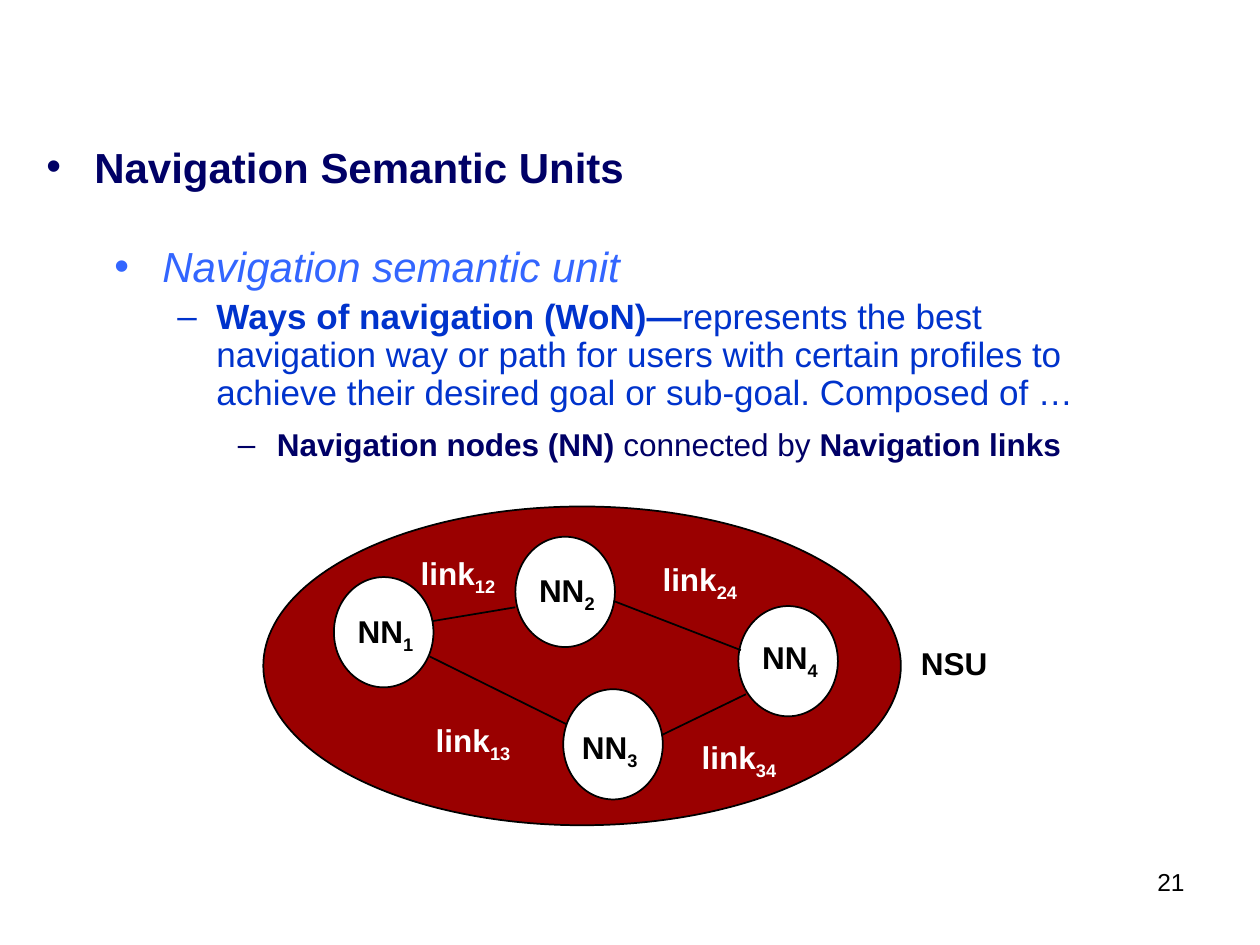
from lxml import etree
from pptx import Presentation
from pptx.dml.color import RGBColor
from pptx.enum import shapes, text
from pptx.oxml.ns import qn
from pptx.util import Inches, Pt

COLORS = {"navy": "000066", "sky": "3366FF", "blue": "0033CC",
          "red": "9A0000", "black": "000000", "white": "FFFFFF"}

# Bulleted paragraphs: runs are (text, bold, italic); indents in inches
HEADING = [
    dict(runs=[("Navigation Semantic Units", True, False)], size=24, color="navy",
         bullet="•", left=0.38, hang=0.38, before=6, after=0, spacing=1, level=0),
]
BODY = [
    dict(runs=[("Navigation semantic unit", False, True)], size=24, color="sky",
         bullet="•", left=0.38, hang=0.38, before=6, after=0, spacing=1, level=0),
    dict(runs=[("Ways of navigation (WoN)—", True, False),
               ("represents the best navigation way or path for users with certain "
                "profiles to achieve their desired goal or sub-goal. Composed of …",
                False, False)], size=20, color="blue",
         bullet="–", left=0.81, hang=0.31, before=5, after=5, spacing=0.9, level=1),
    dict(runs=[("Navigation nodes (NN) ", True, False), ("connected by ", False, False),
               ("Navigation links", True, False)], size=18, color="navy",
         bullet="–", left=1.29, hang=0.31, before=4.5, after=4.5, spacing=0.9, level=2),
]

UNIT = (2.09, 4.02, 5.06, 2.53)
NODE_SIZE = (0.79, 0.875)
# Node number: (circle left, top), (label left, top)
NODES = {"1": ((2.65, 4.58), (2.74, 4.81)), "2": ((4.09, 4.26), (4.18, 4.49)),
         "3": ((4.47, 5.47), (4.52, 5.73)), "4": ((5.86, 4.81), (5.95, 5.02))}
# Link number: line start, line end, (label left, top)
LINKS = {"12": ((3.43, 4.93), (4.09, 4.82), (3.24, 4.35)),
         "13": ((3.41, 5.21), (4.5, 5.75), (3.36, 5.68)),
         "24": ((4.87, 4.77), (5.88, 5.16), (5.16, 4.4)),
         "34": ((5.26, 5.83), (5.92, 5.51), (5.47, 5.81))}

prs = Presentation()
prs.slide_width, prs.slide_height = Inches(10), Inches(7.5)
slide = prs.slides.add_slide(prs.slide_layouts[6])


def rgb(name):
    return RGBColor.from_string(COLORS[name])


def add_box(left, top, width, height, wrap=True):
    sp = slide.shapes.add_textbox(*map(Inches, (left, top, width, height)))
    sp.text_frame.word_wrap = wrap
    return sp.text_frame


def add_run(p, words, size, color, bold=False, italic=False):
    r = p.add_run()
    r.text = words
    f = r.font
    f.name, f.size, f.bold, f.italic = "Arial", Pt(size), bold, italic
    f.color.rgb = rgb(color)
    return r


def set_bullet(p, item):
    pPr = p._p.get_or_add_pPr()
    pPr.set("marL", str(Inches(item["left"])))
    pPr.set("indent", str(-Inches(item["hang"])))
    color = etree.SubElement(pPr, qn("a:buClr"))
    etree.SubElement(color, qn("a:srgbClr"), val=COLORS[item["color"]])
    etree.SubElement(pPr, qn("a:buFont"), typeface="Arial")
    etree.SubElement(pPr, qn("a:buChar"), char=item["bullet"])


def add_bullets(items, *box):
    tf = add_box(*box)
    for i, item in enumerate(items):
        p = tf.add_paragraph() if i else tf.paragraphs[0]
        p.level, p.line_spacing = item["level"], item["spacing"]
        p.space_before, p.space_after = Pt(item["before"]), Pt(item["after"])
        set_bullet(p, item)
        for words, bold, italic in item["runs"]:
            add_run(p, words, item["size"], item["color"], bold, italic)


def add_label(words, subscript, color, left, top, width, height=0.41):
    p = add_box(left, top, width, height, wrap=False).paragraphs[0]
    p.line_spacing = 0.9
    add_run(p, words, 18, color, bold=True)
    if subscript:
        r = add_run(p, subscript, 18, color, bold=True)
        r.font._element.set("baseline", "-25000")


def add_ellipse(fill, *box):
    sp = slide.shapes.add_shape(shapes.MSO_SHAPE.OVAL, *map(Inches, box))
    sp.shadow.inherit = False
    sp.fill.solid()
    sp.fill.fore_color.rgb = rgb(fill)
    sp.line.color.rgb, sp.line.width = rgb("black"), Pt(1)


def add_line(start, end):
    line = slide.shapes.add_connector(shapes.MSO_CONNECTOR.STRAIGHT,
                                      *map(Inches, start + end))
    line.line.color.rgb, line.line.width = rgb("black"), Pt(1)
    etree.SubElement(line._element.spPr, qn("a:effectLst"))


add_bullets(BODY, 0.81, 1.86, 8.36, 1.87)
page = add_box(7.44, 6.83, 2.06, 0.52).paragraphs[0]
page.alignment = text.PP_ALIGN.RIGHT
add_run(page, "21", 14, "black")
add_bullets(HEADING, 0.27, 1.07, 9, 0.95)

add_ellipse("red", *UNIT)
for circle, _ in NODES.values():
    add_ellipse("white", *circle, *NODE_SIZE)
for start, end, _ in LINKS.values():
    add_line(start, end)
for number, (_, label) in NODES.items():
    add_label("NN", number, "black", *label, 0.64)
for number, (_, _, label) in LINKS.items():
    add_label("link", number, "white", *label, 0.79)
add_label("NSU", "", "black", 7.21, 5.1, 0.73, 0.37)

prs.save("out.pptx")
